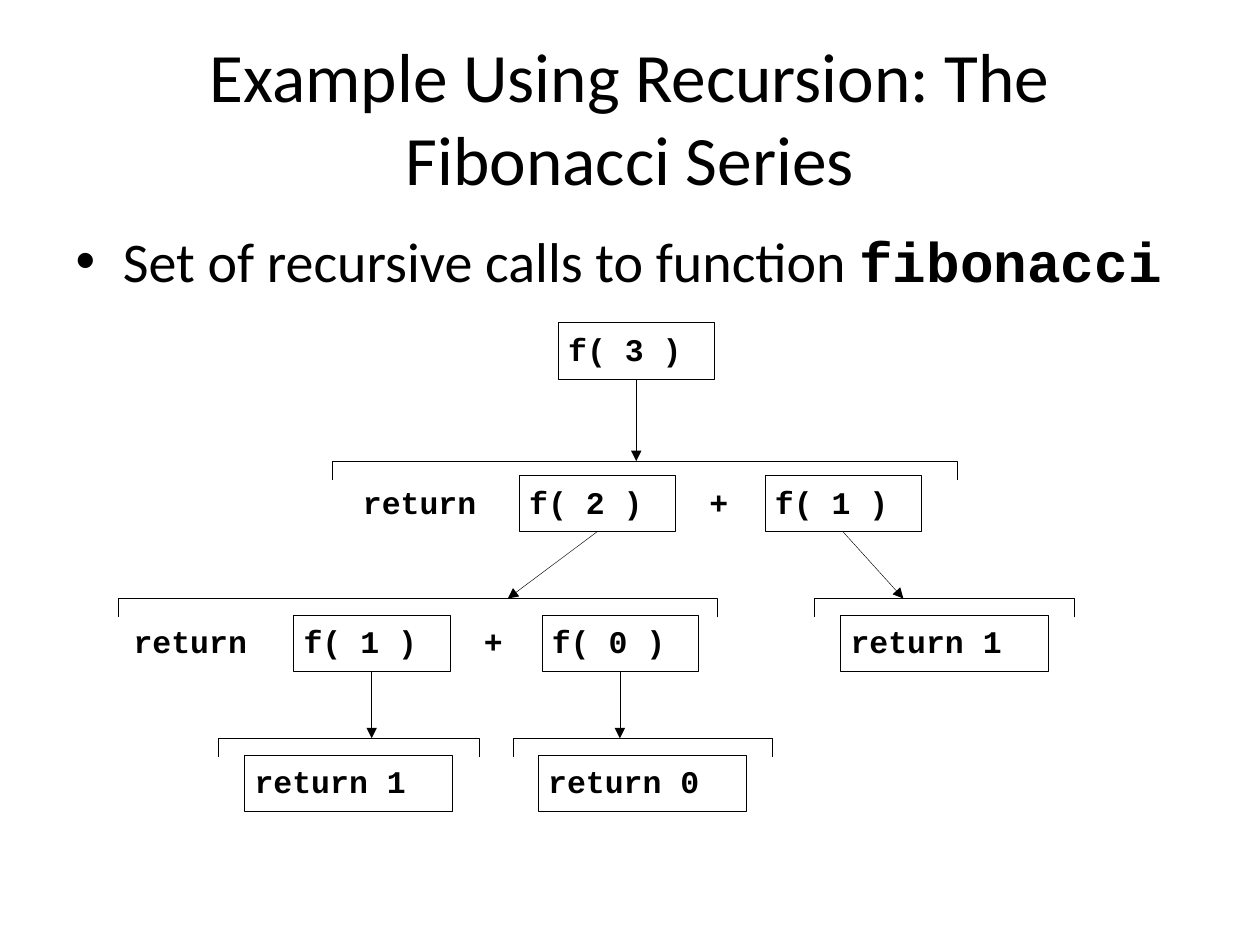
"""Build a slide that shows the tree of recursive Fibonacci calls."""
from dataclasses import dataclass

from lxml import etree
from pptx import Presentation
from pptx.dml.color import RGBColor
from pptx.enum.shapes import MSO_CONNECTOR, MSO_SHAPE
from pptx.enum.text import MSO_ANCHOR, MSO_AUTO_SIZE, PP_ALIGN
from pptx.oxml.ns import qn
from pptx.util import Inches, Pt

STRAIGHT = MSO_CONNECTOR.STRAIGHT
RECTANGLE = MSO_SHAPE.RECTANGLE
TOP, MIDDLE = MSO_ANCHOR.TOP, MSO_ANCHOR.MIDDLE
NO_FIT = MSO_AUTO_SIZE.NONE
LEFT, CENTER = PP_ALIGN.LEFT, PP_ALIGN.CENTER
BOTTOM_SITE = 2


@dataclass(frozen=True)
class Theme:
    """Colours, fonts and sizes of the slide."""
    ink: RGBColor = RGBColor(0, 0, 0)
    sans: str = "Calibri"
    mono: str = "Courier New"
    title: float = 39.6
    body: float = 32
    code: float = 18
    line: float = 0.25
    box_height: float = 0.45
    call_width: float = 1.24
    result_width: float = 1.65
    bracket_height: float = 0.15


class SlideBuilder:
    """Hold the theme and the current slide, and add elements to it."""

    def __init__(self, prs, theme):
        """Add a title and content slide."""
        self.theme = theme
        self.s = prs.slides.add_slide(prs.slide_layouts[1])

    def format(self, target, **values):
        """Set each value as an attribute of the target."""
        for name, value in values.items():
            setattr(target, name, value)

    def run(self, p, text, font, size, bold=False):
        """Add a formatted run to a paragraph."""
        r = p.add_run()
        r.text = text
        self.format(r.font, name=font, size=Pt(size), bold=bold)
        r.font.color.rgb = self.theme.ink

    def outline(self, sp):
        """Give a shape a thin line and no fill."""
        sp.shadow.inherit = False
        sp.fill.background()
        sp.line.color.rgb = self.theme.ink
        sp.line.width = Pt(self.theme.line)

    def placeholder(self, index, area, anchor):
        """Place a template placeholder and return its first paragraph."""
        sp = self.s.placeholders[index]
        names = ("left", "top", "width", "height")
        self.format(sp, **dict(zip(names, map(Inches, area))))
        self.format(sp.text_frame, auto_size=NO_FIT, vertical_anchor=anchor)
        return sp.text_frame.paragraphs[0]

    def title(self, text):
        """Fill the title placeholder."""
        p = self.placeholder(0, (0.5, 0.3, 9, 1.25), MIDDLE)
        p.alignment = CENTER
        self.run(p, text, self.theme.sans, self.theme.title)

    def bullet(self, text, code):
        """Fill the body placeholder with text that ends in code."""
        p = self.placeholder(1, (0.5, 1.75, 9, 4.95), TOP)
        self.run(p, text, self.theme.sans, self.theme.body)
        self.run(p, code, self.theme.mono, self.theme.body, bold=True)

    def code(self, sp, text, left=0, top=0):
        """Write code into a shape with the given insets."""
        tf = sp.text_frame
        self.format(tf, word_wrap=True, auto_size=NO_FIT, vertical_anchor=TOP,
                    margin_left=Inches(left), margin_top=Inches(top),
                    margin_right=0, margin_bottom=0)
        p = tf.paragraphs[0]
        p.alignment = LEFT
        self.run(p, text, self.theme.mono, self.theme.code, bold=True)

    def label(self, text, x, y, width):
        """Add code without a frame."""
        sp = self.s.shapes.add_textbox(
            Inches(x), Inches(y), Inches(width), Inches(0.35))
        self.code(sp, text)

    def box(self, text, x, y, width):
        """Add a framed piece of code."""
        sp = self.s.shapes.add_shape(
            RECTANGLE, Inches(x), Inches(y),
            Inches(width), Inches(self.theme.box_height))
        self.outline(sp)
        self.code(sp, text, 0.08, 0.06)
        return sp

    def call(self, text, x, y):
        """Add a box for a function call."""
        return self.box(text, x, y, self.theme.call_width)

    def result(self, text, x, y):
        """Add a box for a returned value."""
        return self.box(text, x, y, self.theme.result_width)

    def bracket(self, left, right, y):
        """Add a bracket that opens downwards."""
        bottom = y + self.theme.bracket_height
        points = [(right, bottom), (right, y), (left, y), (left, bottom)]
        points = [(Inches(px), Inches(py)) for px, py in points]
        builder = self.s.shapes.build_freeform(*points[0])
        builder.add_line_segments(points[1:], close=False)
        self.outline(builder.convert_to_shape())

    def arrow(self, box, y, x=None):
        """Add an arrow from a box down to y, straight unless x is given."""
        middle = box.left + box.width // 2
        end = middle if x is None else Inches(x)
        sp = self.s.shapes.add_connector(
            STRAIGHT, middle, box.top + box.height, end, Inches(y))
        sp.begin_connect(box, BOTTOM_SITE)
        sp.line.color.rgb = self.theme.ink
        sp.line.width = Pt(self.theme.line)
        etree.SubElement(sp.line._get_or_add_ln(), qn("a:tailEnd"),
                         type="triangle")
        etree.SubElement(sp._element.spPr, qn("a:effectLst"))


def main():
    """Build and save the slide."""
    prs = Presentation()
    prs.slide_width, prs.slide_height = Inches(10), Inches(7.5)
    slide = SlideBuilder(prs, Theme())
    slide.title("Example Using Recursion: The Fibonacci Series")
    slide.bullet("Set of recursive calls to function ", "fibonacci")

    level_2, level_3, level_4 = 3.66, 4.75, 5.86
    for left, right, y in [(2.64, 7.6, level_2), (0.94, 5.69, level_3),
                           (6.46, 8.53, level_3), (1.73, 3.8, level_4),
                           (4.07, 6.13, level_4)]:
        slide.bracket(left, right, y)

    row_2, row_3, row_4 = 3.77, 4.88, 5.99
    f3 = slide.call("f( 3 )", 4.43, 2.56)
    f2 = slide.call("f( 2 )", 4.12, row_2)
    f1_right = slide.call("f( 1 )", 6.07, row_2)
    f1_left = slide.call("f( 1 )", 2.33, row_3)
    f0 = slide.call("f( 0 )", 4.3, row_3)
    slide.result("return 1", 6.67, row_3)
    slide.result("return 1", 1.94, row_4)
    slide.result("return 0", 4.27, row_4)

    for text, x, y, width in [("return", 2.88, row_2, 1.31),
                              ("+", 5.63, row_2, 0.28),
                              ("return", 1.06, row_3, 1.31),
                              ("+", 3.84, row_3, 0.28)]:
        slide.label(text, x, y + 0.06, width)

    slide.arrow(f3, level_2)
    slide.arrow(f2, level_3, 4.03)
    slide.arrow(f1_right, level_3, 7.17)
    slide.arrow(f1_left, level_4)
    slide.arrow(f0, level_4)
    prs.save("out.pptx")


if __name__ == "__main__":
    main()
